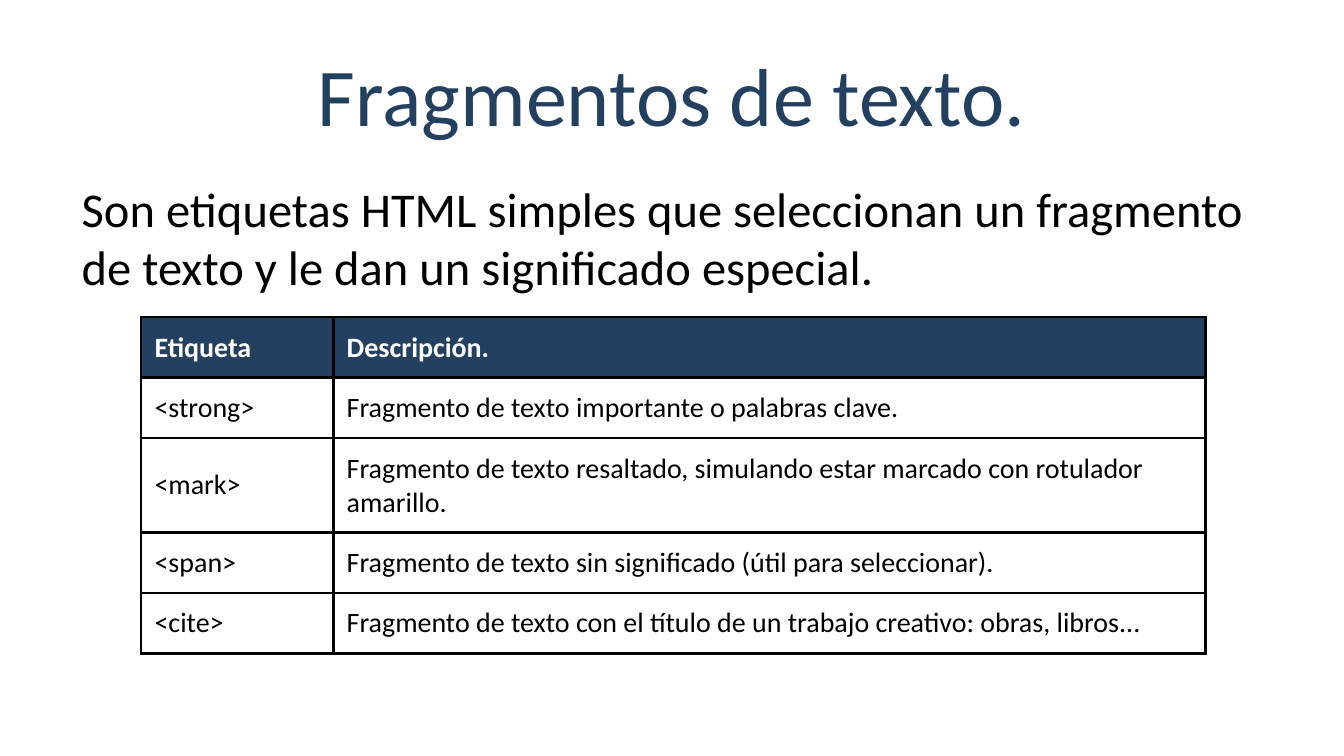
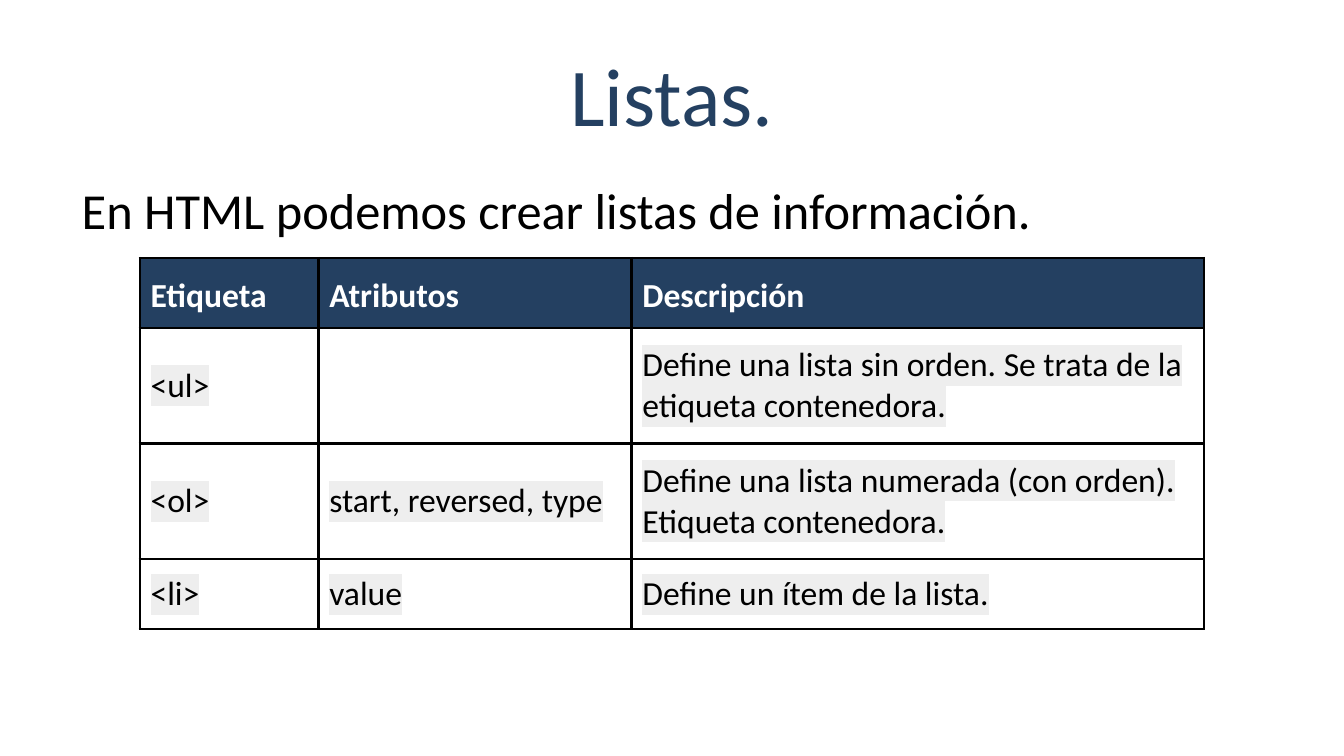
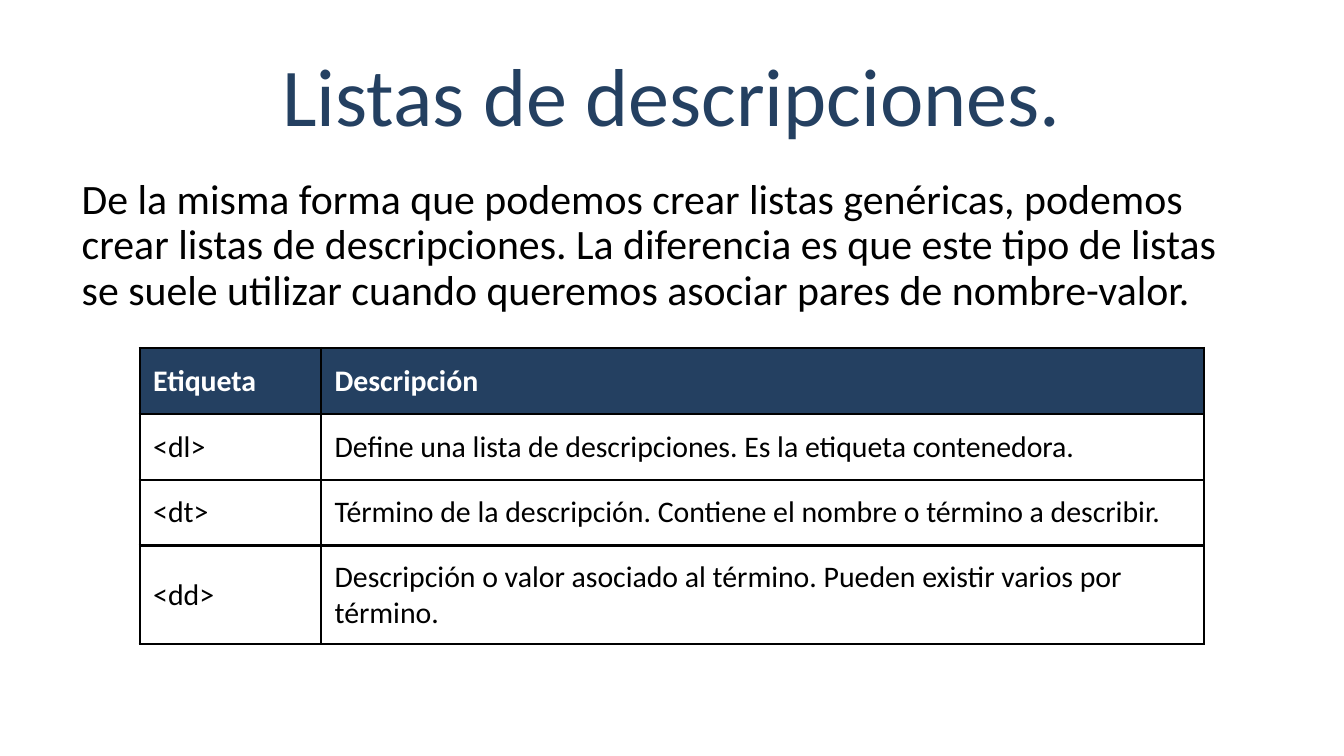
import pptx
import pptx.util
import pptx.oxml
import pptx.oxml.ns
import pptx.dml.color
import pptx.enum.text
from pptx.util import Inches

NAVY = pptx.dml.color.RGBColor(0x24, 0x40, 0x61)
BLACK = pptx.dml.color.RGBColor(0x00, 0x00, 0x00)
WHITE = pptx.dml.color.RGBColor(0xFF, 0xFF, 0xFF)
GREY = pptx.dml.color.RGBColor(0xEE, 0xEE, 0xEE)
ALIGN = pptx.enum.text.PP_ALIGN
ANCHOR = pptx.enum.text.MSO_ANCHOR


class Deck:
    """Holds the shared style and the slide being filled."""

    face = "Calibri"
    edge = 1.5
    gap = pptx.util.Pt(3.6)

    def __init__(self):
        self.show = pptx.Presentation()
        self.show.slide_width = Inches(10)
        self.show.slide_height = Inches(10 * 9 / 16)
        self.slide = None

    def page(self, title):
        self.slide = self.show.slides.add_slide(self.show.slide_layouts[6])
        para = self.text(title, 0.5, 0.23, 0.94, 44, NAVY, ANCHOR.MIDDLE)
        para.alignment = ALIGN.CENTER

    def style(self, para, size, color, bold=False):
        font = para.font
        font.name, font.size = self.face, pptx.util.Pt(size)
        font.color.rgb, font.bold = color, bold

    def text(self, words, left, top, height, size, color, anchor):
        box = self.slide.shapes.add_textbox(
            Inches(left), Inches(top), Inches(9), Inches(height))
        frame = box.text_frame
        frame.word_wrap = True
        frame.vertical_anchor = anchor
        para = frame.paragraphs[0]
        para.text = words
        self.style(para, size, color)
        return para

    def body(self, words, size, height=3.71, lines=None):
        para = self.text(words, 0.51, 1.28, height, size, BLACK, ANCHOR.TOP)
        para.space_before = self.gap
        para.line_spacing = lines

    def table(self, left, top, widths, heights, rows, size, pad=0.1,
              lines=None, mark=None, gap=None, anchor=ANCHOR.MIDDLE):
        grid = self.slide.shapes.add_table(
            len(rows), len(widths), Inches(left), Inches(top),
            Inches(sum(widths)), Inches(sum(heights))).table
        grid.horz_banding = False
        for col, width in zip(grid.columns, widths):
            col.width = Inches(width)
        for i, (row, height) in enumerate(zip(rows, heights)):
            grid.rows[i].height = Inches(height)
            for j, words in enumerate(row):
                cell = grid.cell(i, j)
                para = self.cell(cell, words, size, pad, i == 0)
                para.space_before = gap
                if i == 0:
                    cell.vertical_anchor = anchor
                    para.line_spacing = lines
                elif mark:
                    self.mark(para, mark)

    def cell(self, cell, words, size, pad, head):
        cell.margin_left = cell.margin_right = Inches(pad)
        cell.margin_top = cell.margin_bottom = Inches(pad)
        cell.vertical_anchor = ANCHOR.MIDDLE
        self.frame(cell)
        if head:
            cell.fill.solid()
            cell.fill.fore_color.rgb = NAVY
        else:
            cell.fill.background()
        para = cell.text_frame.paragraphs[0]
        para.text = words
        self.style(para, size, WHITE if head else BLACK, head)
        return para

    def frame(self, cell):
        props = cell._tc.get_or_add_tcPr()
        for side in "LRTB":
            props.append(pptx.oxml.parse_xml(
                f'<a:ln{side} {pptx.oxml.ns.nsdecls("a")} '
                f'w="{int(pptx.util.Pt(self.edge))}"><a:solidFill>'
                f'<a:srgbClr val="{BLACK}"/></a:solidFill></a:ln{side}>'))

    def mark(self, para, color):
        for run in para.runs:
            run._r.get_or_add_rPr().append(pptx.oxml.parse_xml(
                f'<a:highlight {pptx.oxml.ns.nsdecls("a")}>'
                f'<a:srgbClr val="{color}"/></a:highlight>'))


def main():
    deck = Deck()

    # Text fragments
    deck.page("Fragmentos de texto.")
    deck.body("Son etiquetas HTML simples que seleccionan un fragmento de "
              "texto y le dan un significado especial.", 26)
    deck.table(1.05, 2.36, [1.43, 6.49], [0.44] + [0.42] * 4, [
        ("Etiqueta", "Descripción."),
        ("<strong>", "Fragmento de texto importante o palabras clave."),
        ("<mark>", "Fragmento de texto resaltado, simulando estar marcado "
                   "con rotulador amarillo."),
        ("<span>", "Fragmento de texto sin significado (útil para "
                   "seleccionar)."),
        ("<cite>", "Fragmento de texto con el título de un trabajo "
                   "creativo: obras, libros..."),
    ], 15, gap=deck.gap, anchor=ANCHOR.TOP)

    # Lists
    deck.page("Listas.")
    deck.body("En HTML podemos crear listas de información.", 27)
    deck.table(1.04, 1.92, [1.33, 2.33, 4.26], [0.52, 0.86, 0.86, 0.52], [
        ("Etiqueta", "Atributos", "Descripción"),
        ("<ul>", "", "Define una lista sin orden. Se trata de la etiqueta "
                     "contenedora."),
        ("<ol>", "start, reversed, type",
         "Define una lista numerada (con orden). Etiqueta contenedora."),
        ("<li>", "value", "Define un ítem de la lista."),
    ], 18, pad=0.08, lines=1.15, mark=GREY)

    # Description lists
    deck.page("Listas de descripciones.")
    deck.body("De la misma forma que podemos crear listas genéricas, podemos "
              "crear listas de descripciones. La diferencia es que este tipo "
              "de listas se suele utilizar cuando queremos asociar pares de "
              "nombre-valor.", 22.4, height=1.95, lines=0.9)
    deck.table(1.04, 2.59, [1.35, 6.57], [0.49] * 4, [
        ("Etiqueta", "Descripción"),
        ("<dl>", "Define una lista de descripciones. Es la etiqueta "
                 "contenedora."),
        ("<dt>", "Término de la descripción. Contiene el nombre o término "
                 "a describir."),
        ("<dd>", "Descripción o valor asociado al término. Pueden existir "
                 "varios por término."),
    ], 16)

    deck.show.save("out.pptx")


if __name__ == "__main__":
    main()
